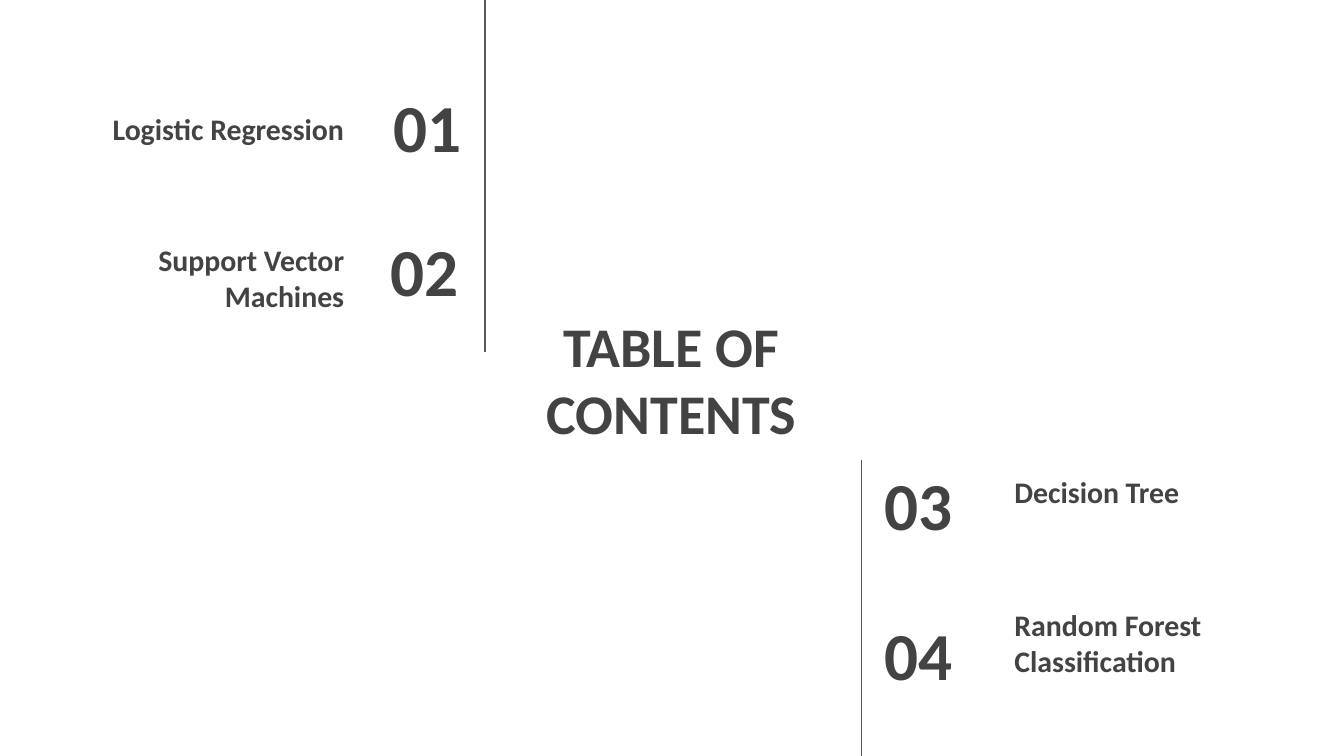
"""Build a table of contents slide with two numbered columns around a title."""
from dataclasses import dataclass

from lxml import etree
from pptx import Presentation
from pptx.dml.color import RGBColor
from pptx.enum import shapes, text
from pptx.oxml import ns
from pptx.util import Pt


@dataclass(frozen=True)
class Theme:
    """Hold the colours and type sizes of the slide."""
    font: str = "Calibri"
    ink: RGBColor = RGBColor(0x43, 0x43, 0x43)
    rule: RGBColor = RGBColor(0x59, 0x59, 0x59)
    paper: RGBColor = RGBColor(0xFF, 0xFF, 0xFF)
    title: int = 30
    number: int = 36
    topic: int = 16
    rule_width: float = 0.75
    inset: float = 7.2


THEME = Theme()
LEFT, CENTER, RIGHT = text.PP_ALIGN.LEFT, text.PP_ALIGN.CENTER, text.PP_ALIGN.RIGHT
MIDDLE, BOTTOM = text.MSO_ANCHOR.MIDDLE, text.MSO_ANCHOR.BOTTOM


def add_text(slide, wording, box, *, size, align=LEFT, anchor=MIDDLE):
    """Add bold text in a box of left, top, width and height."""
    frame = slide.shapes.add_textbox(*map(Pt, box)).text_frame
    frame.word_wrap = True
    frame.vertical_anchor = anchor
    frame.margin_left = frame.margin_right = Pt(THEME.inset)
    frame.margin_top = frame.margin_bottom = Pt(THEME.inset)
    paragraph = frame.paragraphs[0]
    paragraph.alignment = align
    run = paragraph.add_run()
    run.text = wording
    run.font.name = THEME.font
    run.font.size = Pt(size)
    run.font.bold = True
    run.font.color.rgb = THEME.ink


def add_entry(slide, number, number_box, topic, topic_box, align):
    """Add one numbered topic of the contents."""
    add_text(slide, number, number_box, size=THEME.number, align=align)
    add_text(slide, topic, topic_box, size=THEME.topic, align=align, anchor=BOTTOM)


def add_rule(slide, x, top, bottom):
    """Add a thin vertical line."""
    rule = slide.shapes.add_connector(
        shapes.MSO_CONNECTOR.STRAIGHT, Pt(x), Pt(top), Pt(x), Pt(bottom))
    rule.line.color.rgb = THEME.rule
    rule.line.width = Pt(THEME.rule_width)
    etree.SubElement(rule._element.spPr, ns.qn("a:effectLst"))


def main():
    """Build and save the slide."""
    deck = Presentation()
    deck.slide_width, deck.slide_height = Pt(720), Pt(405)
    slide = deck.slides.add_slide(deck.slide_layouts[6])
    slide.background.fill.solid()
    slide.background.fill.fore_color.rgb = THEME.paper

    add_text(slide, "TABLE OF CONTENTS", (266.4, 165.6, 186.5, 74.2),
             size=THEME.title, align=CENTER)

    entries = [
        ("01", (167, 44.6, 87.1, 45.4),
         "Logistic Regression", (36, 40.3, 155.5, 45.4), RIGHT),
        ("02", (165.6, 121.7, 87.1, 45.4),
         "Support Vector Machines", (36, 106.6, 155.5, 68.4), RIGHT),
        ("03", (466.6, 247, 84.2, 45.4),
         "Decision Tree", (536.4, 238.3, 155.5, 41.8), LEFT),
        ("04", (466.6, 327.6, 84.2, 45.4),
         "Random Forest Classification", (536.4, 322.6, 155.5, 48.2), LEFT),
    ]
    for entry in entries:
        add_entry(slide, *entry)

    add_rule(slide, 259.9, 0, 188.6)
    add_rule(slide, 461.5, 246.2, 405)
    deck.save("out.pptx")


if __name__ == "__main__":
    main()
